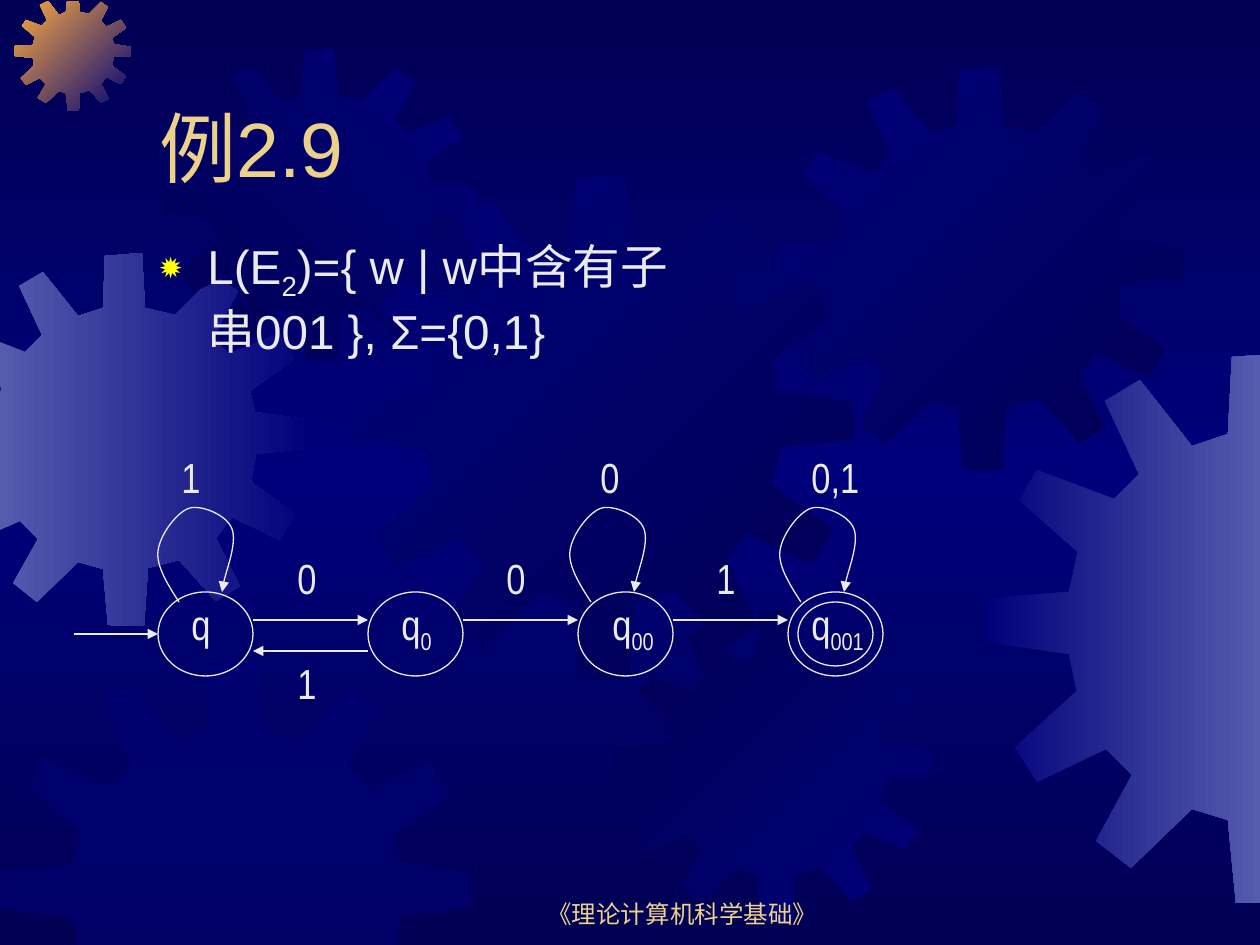
from copy import deepcopy
from dataclasses import dataclass

from lxml.etree import SubElement
from pptx import Presentation
from pptx.dml.color import RGBColor
from pptx.dml.fill import FillFormat
from pptx.enum.shapes import MSO_CONNECTOR, MSO_SHAPE
from pptx.enum.text import MSO_ANCHOR, MSO_AUTO_SIZE, PP_ALIGN
from pptx.oxml.ns import qn
from pptx.shapes.autoshape import Shape
from pptx.slide import Slide
from pptx.util import Pt

SCALE = 914400 / 126  # EMU in one px
PAGE_WIDTH, PAGE_HEIGHT = 1260, 945
COLOURS = {"night": "000054", "navy": "00007A", "haze": "555BAD", "orange": "FCAB40",
           "gold": "EBD189", "chalk": "EAEAEA", "yellow": "FFFF00"}

Point = tuple[float, float]


@dataclass
class Gear:
    left: int
    top: int
    size: int
    colours: tuple[str, ...]
    angle: int = 0


@dataclass
class Label:
    """Text whose odd spans are subscripts."""
    left: int
    top: int
    width: int
    height: int
    spans: tuple[str, ...]
    size: float = 24
    colour: str = "chalk"
    font: str = "Arial Narrow"


GEAR_SIZE = 401
GEAR_OUTLINE = [
    (255, 67), (223, 59), (219, 0), (180, 3), (177, 59), (151, 68), (113, 20), (87, 35),
    (112, 88), (94, 106), (38, 85), (25, 107), (68, 145), (61, 174), (1, 178), (0, 210),
    (61, 219), (67, 246), (22, 287), (38, 312), (88, 288), (107, 307), (81, 355), (106, 375),
    (151, 332), (177, 340), (183, 400), (222, 401), (226, 339), (259, 330), (299, 374),
    (325, 358), (299, 306), (316, 284), (368, 309), (384, 281), (336, 246), (342, 216),
    (401, 210), (400, 180), (341, 171), (335, 148), (383, 114), (367, 87), (313, 109),
    (296, 91), (323, 41), (297, 25)]
GEARS = [
    Gear(-62, 253, 373, ("haze", "navy")),
    Gear(15, -5, 116, ("orange", "navy"), 45),
    Gear(164, 49, 312, ("night", "navy"), 315),
    Gear(349, 175, 505, ("navy", "night"), 45),
    Gear(0, 661, 471, ("navy",)),
    Gear(619, 610, 312, ("night", "navy"), 45),
    Gear(779, 67, 403, ("navy", "night"), 45),
    Gear(985, 353, 551, ("navy", "haze")),
]

STATE_LEFTS = [158 + 210 * index for index in range(4)]
STATE_TOP, STATE_WIDTH, STATE_HEIGHT = 592, 95, 84
LOOP_LEFTS = [156, 568, 778]
LOOP_CURVE = [(23, 602), (12, 585), (0, 566), (2, 551), (4, 534), (22, 511), (34, 508),
              (46, 505), (71, 515), (76, 529), (81, 543), (66, 582), (66, 592)]
STATE_LABELS = [
    Label(179, 592, 63, 63, ("q",)),
    Label(389, 592, 84, 71, ("q", "0")),
    Label(600, 592, 84, 71, ("q", "00")),
    Label(799, 592, 84, 71, ("q", "001")),
]
MOVE_LABELS = [
    Label(169, 445, 63, 63, ("1",)),
    Label(588, 445, 63, 63, ("0",)),
    Label(799, 445, 126, 63, ("0,1",)),
    Label(285, 546, 63, 63, ("0",)),
    Label(494, 546, 63, 63, ("0",)),
    Label(704, 546, 63, 63, ("1",)),
    Label(285, 651, 63, 63, ("1",)),
]
TITLE = Label(147, 42, 1071, 157, ("例2.9",), 44, "gold", "Arial")
BODY = Label(147, 231, 562, 136, ("L(E", "2", ")={ w | w中含有子串001 }, Σ={0,1}"),
             27.2, "chalk", "Arial")
FOOTER = Label(483, 872, 399, 63, ("《理论计算机科学基础》",), 14, "gold", "Arial")


def emu(px: float) -> int:
    return round(px * SCALE)


def rgb(name: str) -> RGBColor:
    return RGBColor.from_string(COLOURS[name])


def clip(points: list[Point], axis: int, bound: int, sign: int) -> list[Point]:
    """Keep the part of a polygon where sign * (coordinate - bound) is positive."""
    kept: list[Point] = []
    for start, end in zip(points[-1:] + points[:-1], points):
        before, after = (sign * (point[axis] - bound) for point in (start, end))
        if (before < 0) != (after < 0):
            share = before / (before - after)
            kept.append((start[0] + share * (end[0] - start[0]),
                         start[1] + share * (end[1] - start[1])))
        if after >= 0:
            kept.append(end)
    return kept


def colour_stops(fill: FillFormat, names: tuple[str, ...], angle: int) -> None:
    fill.gradient_angle = (360 - angle) % 360
    for index, (stop, name) in enumerate(zip(fill.gradient_stops, names)):
        stop.color.rgb = rgb(name)
        stop.position = index / (len(names) - 1)


def paint_background(page: Slide) -> None:
    fill = page.background.fill
    fill.gradient()
    stops = page.element.find(".//" + qn("a:gsLst"))
    stops.insert(1, deepcopy(stops[0]))
    colour_stops(fill, ("night", "navy", "night"), 90)


def draw_gear(page: Slide, gear: Gear) -> None:
    ratio = gear.size / GEAR_SIZE
    points = [(gear.left + x * ratio, gear.top + y * ratio) for x, y in GEAR_OUTLINE]
    for axis, bound, sign in ((0, 0, 1), (1, 2, 1), (0, PAGE_WIDTH, -1), (1, PAGE_HEIGHT, -1)):
        points = clip(points, axis, bound, sign)
    builder = page.shapes.build_freeform(*points[0], scale=SCALE)
    builder.add_line_segments(points[1:], close=True)
    shape = builder.convert_to_shape()
    shape.shadow.inherit = False
    shape.line.fill.background()
    if len(gear.colours) > 1:
        shape.fill.gradient()
        colour_stops(shape.fill, gear.colours, gear.angle)
    else:
        shape.fill.solid()
        shape.fill.fore_color.rgb = rgb(gear.colours[0])
        colour = shape.element.spPr.find(".//" + qn("a:srgbClr"))
        SubElement(colour, qn("a:alpha"), val="50000")


def outline(shape: Shape) -> None:
    shape.shadow.inherit = False
    shape.fill.background()
    shape.line.color.rgb = rgb("chalk")
    shape.line.width = Pt(0.75)


def add_arrowhead(properties) -> None:
    SubElement(properties.find(qn("a:ln")), qn("a:tailEnd"), type="triangle")


def draw_state(page: Slide, left: int, inset: int = 0) -> None:
    outline(page.shapes.add_shape(
        MSO_SHAPE.OVAL, emu(left + inset), emu(STATE_TOP + inset),
        emu(STATE_WIDTH - 2 * inset), emu(STATE_HEIGHT - 2 * inset)))


def draw_arrow(page: Slide, start: int, end: int, y: int) -> None:
    arrow = page.shapes.add_connector(MSO_CONNECTOR.STRAIGHT, emu(start), emu(y), emu(end), emu(y))
    arrow.line.color.rgb = rgb("chalk")
    arrow.line.width = Pt(0.75)
    properties = arrow.element.spPr
    add_arrowhead(properties)
    SubElement(properties, qn("a:effectLst"))


def draw_loop(page: Slide, left: int) -> None:
    points = [(left + x, y) for x, y in LOOP_CURVE]
    builder = page.shapes.build_freeform(*points[0], scale=SCALE)
    builder.add_line_segments(points[1:], close=False)
    shape = builder.convert_to_shape()
    outline(shape)
    properties = shape.element.spPr
    add_arrowhead(properties)
    # Every three straight segments become one cubic curve.
    track = properties.find(".//" + qn("a:path"))
    segments = track.findall(qn("a:lnTo"))
    for index in range(0, len(segments), 3):
        curve = SubElement(track, qn("a:cubicBezTo"))
        for segment in segments[index:index + 3]:
            curve.append(segment[0])
            track.remove(segment)


def write(page: Slide, label: Label, anchor: MSO_ANCHOR = MSO_ANCHOR.TOP,
          align: PP_ALIGN = PP_ALIGN.LEFT, bulleted: bool = False, grow: bool = False) -> None:
    box = page.shapes.add_textbox(*map(emu, (label.left, label.top, label.width, label.height)))
    frame = box.text_frame
    frame.word_wrap = True
    frame.auto_size = MSO_AUTO_SIZE.SHAPE_TO_FIT_TEXT if grow else MSO_AUTO_SIZE.NONE
    frame.vertical_anchor = anchor
    para = frame.paragraphs[0]
    para.alignment = align
    if bulleted:
        properties = para._p.get_or_add_pPr()
        properties.set("marL", str(emu(48)))
        properties.set("indent", str(emu(-48)))
        SubElement(SubElement(properties, qn("a:buClr")), qn("a:srgbClr"), val=COLOURS["yellow"])
        SubElement(properties, qn("a:buSzPct"), val="80000")
        SubElement(properties, qn("a:buChar"), char="✹")
    para.font.name = label.font
    para.font.size = Pt(label.size)
    para.font.color.rgb = rgb(label.colour)
    for index, text in enumerate(label.spans):
        span = para.add_run()
        span.text = text
        if index % 2:
            span._r.get_or_add_rPr().set("baseline", "-25000")


def main() -> None:
    deck = Presentation()
    deck.slide_width, deck.slide_height = emu(PAGE_WIDTH), emu(PAGE_HEIGHT)
    page = deck.slides.add_slide(deck.slide_layouts[6])
    paint_background(page)
    for gear in GEARS:
        draw_gear(page, gear)
    write(page, FOOTER, MSO_ANCHOR.BOTTOM, PP_ALIGN.CENTER)
    write(page, TITLE, MSO_ANCHOR.BOTTOM)
    write(page, BODY, bulleted=True)
    for left in STATE_LEFTS:
        draw_state(page, left)
    draw_state(page, STATE_LEFTS[-1], inset=10)
    draw_arrow(page, 74, STATE_LEFTS[0], 634)
    for left, following in zip(STATE_LEFTS, STATE_LEFTS[1:]):
        draw_arrow(page, left + STATE_WIDTH, following, 620)
    draw_arrow(page, STATE_LEFTS[1], STATE_LEFTS[0] + STATE_WIDTH, 651)
    for left in LOOP_LEFTS:
        draw_loop(page, left)
    for label in STATE_LABELS + MOVE_LABELS:
        write(page, label, grow=True)
    deck.save("out.pptx")


if __name__ == "__main__":
    main()
